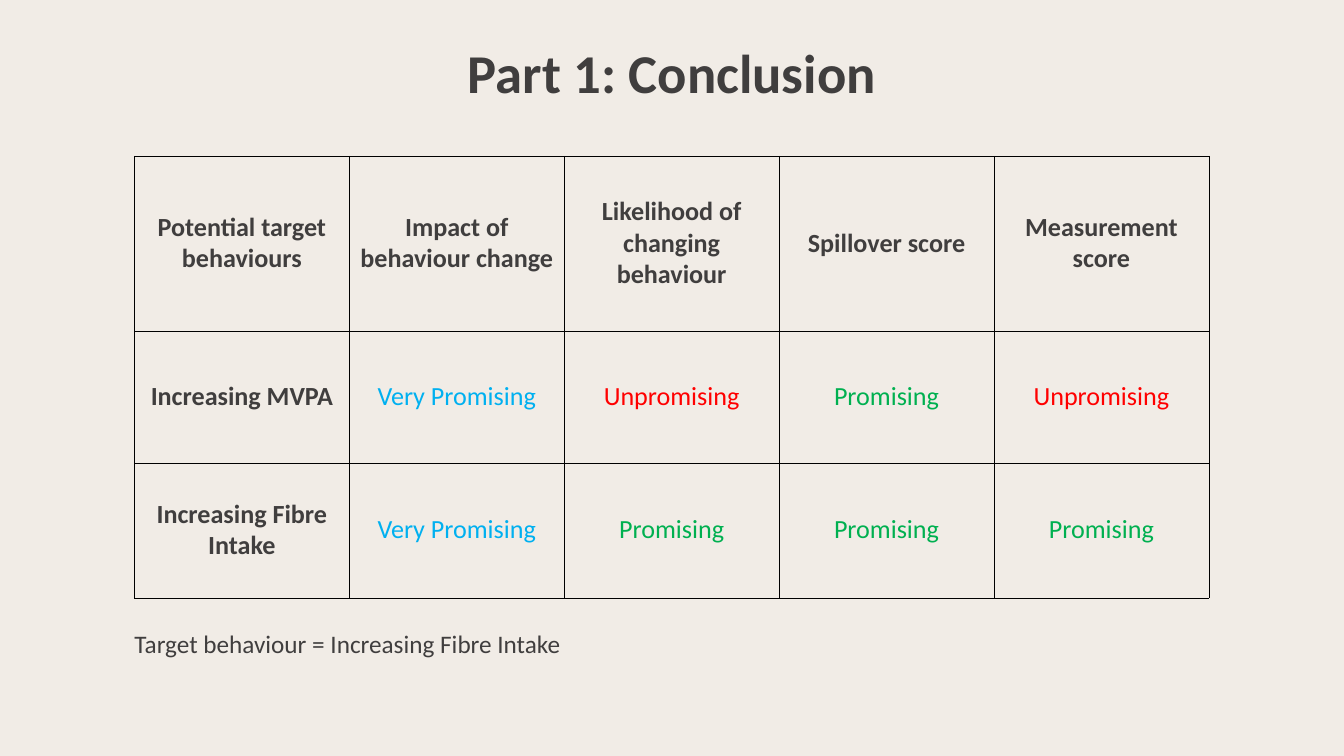
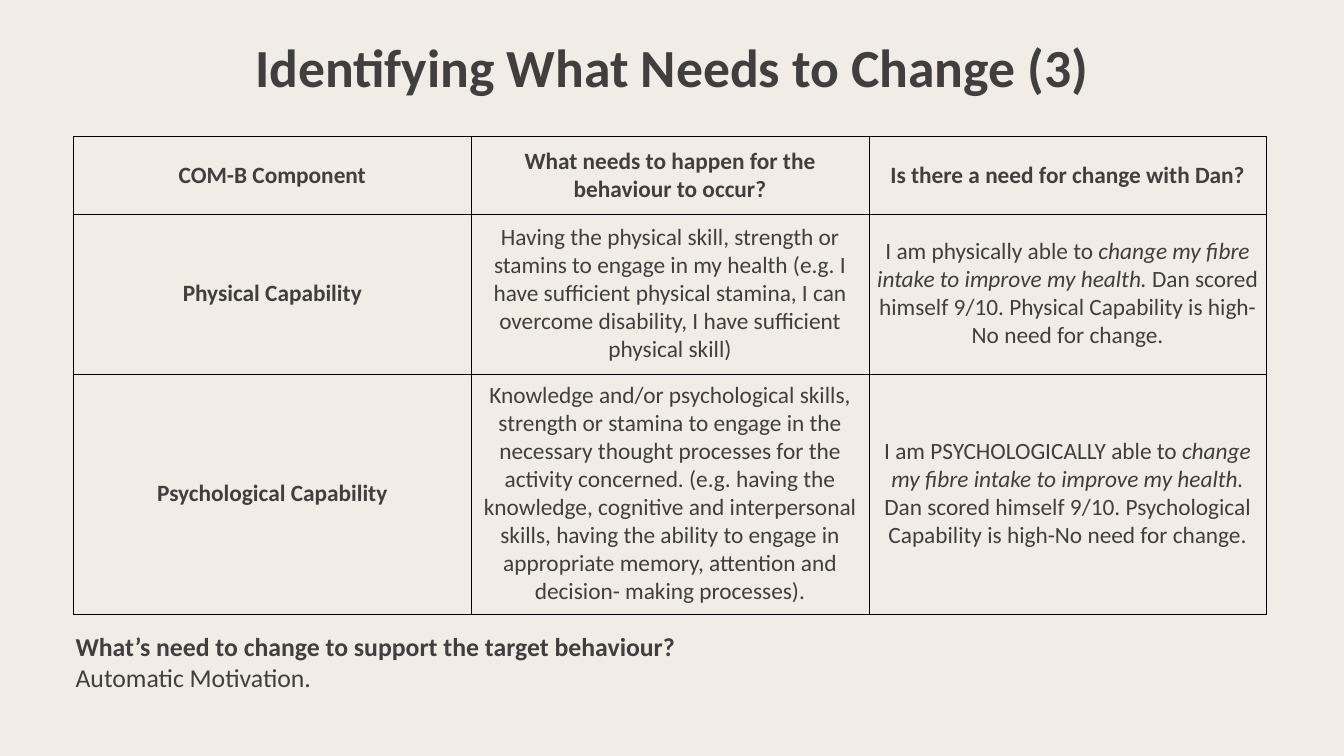
from lxml import etree
from pptx import Presentation
from pptx.dml.color import RGBColor
from pptx.enum.text import MSO_ANCHOR, PP_ALIGN
from pptx.oxml.ns import qn
from pptx.util import Pt

PX = 9525  # EMU in one px, 96 px to the inch
CENTER, LEFT = PP_ALIGN.CENTER, PP_ALIGN.LEFT
TOP, MIDDLE = MSO_ANCHOR.TOP, MSO_ANCHOR.MIDDLE

CREAM = RGBColor(0xF1, 0xEC, 0xE6)
INK = RGBColor(0x40, 0x3E, 0x3E)
BLUE = RGBColor(0x00, 0xB0, 0xF0)
RED = RGBColor(0xFF, 0x00, 0x00)
GREEN = RGBColor(0x00, 0xB0, 0x50)
RATING_COLORS = {"Very Promising": BLUE, "Promising": GREEN, "Unpromising": RED}

FONT = "Calibri"
LINE_HEIGHT = 1.2
CELL_MARGIN = 10
BORDER = Pt(0.37)


def write_text(frame, paragraphs, size, align):
    """Each paragraph is a list of (text, style) spans; style holds b and/or i."""
    frame.word_wrap = True
    for index, spans in enumerate(paragraphs):
        para = frame.add_paragraph() if index else frame.paragraphs[0]
        para.alignment = align
        para.line_spacing = Pt(size * LINE_HEIGHT)
        for text, style in spans:
            span = para.add_run()
            span.text = text
            span.font.name = FONT
            span.font.size = Pt(size)
            span.font.bold = "b" in style
            span.font.italic = "i" in style
            span.font.color.rgb = RATING_COLORS.get(text, INK)


def add_text_box(page, place, paragraphs, size, align, anchor=TOP):
    box = page.shapes.add_textbox(*(length * PX for length in place))
    frame = box.text_frame
    frame.margin_left = frame.margin_right = frame.margin_top = frame.margin_bottom = 0
    frame.vertical_anchor = anchor
    write_text(frame, paragraphs, size, align)


# A plain string in a table is one paragraph; the first row and column are bold
PAGES = [
    {
        "title": "Part 1: Conclusion",
        "title_place": (562, 25, 796, 155),
        "title_size": 58.6,
        "title_anchor": MIDDLE,
        "table_corner": (192, 223),
        "column_width": 307,
        "row_heights": [250, 188, 193],
        "cell_size": 28,
        "rows": [
            ["Potential target behaviours", "Impact of behaviour change",
             "Likelihood of changing behaviour", "Spillover score", "Measurement score"],
            ["Increasing MVPA", "Very Promising", "Unpromising", "Promising", "Unpromising"],
            ["Increasing Fibre Intake", "Very Promising", "Promising", "Promising", "Promising"],
        ],
        "note": [[("Target behaviour = Increasing Fibre Intake", "")]],
        "note_place": (192, 898, 748, 61),
        "note_size": 27,
    },
    {
        "title": "Identifying What Needs to Change (3)",
        "title_place": (355, 49, 1210, 115),
        "title_size": 57.5,
        "title_anchor": TOP,
        "table_corner": (105, 195),
        "column_width": 568,
        "row_heights": [111, 228, 344],
        "cell_size": 25,
        "rows": [
            ["COM-B Component", "What needs to happen for the behaviour to occur?",
             "Is there a need for change with Dan?"],
            ["Physical Capability",
             "Having the physical skill, strength or stamins to engage in my health "
             "(e.g. I have sufficient physical stamina, I can overcome disability, "
             "I have sufficient physical skill)",
             [[("I am physically able to ", ""),
               ("change my fibre intake to improve my health. ", "i"),
               ("Dan scored himself 9/10. Physical Capability is high-No need for change.", "")]]],
            ["Psychological Capability",
             "Knowledge and/or psychological skills, strength or stamina to engage in the "
             "necessary thought processes for the activity concerned. (e.g. having the "
             "knowledge, cognitive and interpersonal skills, having the ability to engage "
             "in appropriate memory, attention and decision- making processes).",
             [[("I am PSYCHOLOGICALLY able to ", ""),
               ("change my fibre intake to improve my health.", "i")],
              [("Dan scored himself 9/10. Psychological Capability is high-No need for change.", "")]]],
        ],
        "note": [[("What’s need to change to support the target behaviour?", "b")],
                 [("Automatic Motivation.", "")]],
        "note_place": (108, 901, 1248, 95),
        "note_size": 27.6,
    },
]

deck = Presentation()
deck.slide_width, deck.slide_height = 1920 * PX, 1080 * PX

for content in PAGES:
    page = deck.slides.add_slide(deck.slide_layouts[6])
    page.background.fill.solid()
    page.background.fill.fore_color.rgb = CREAM

    # Title
    add_text_box(page, content["title_place"], [[(content["title"], "b")]],
                 content["title_size"], CENTER, content["title_anchor"])

    # Table
    rows, heights = content["rows"], content["row_heights"]
    left, top = content["table_corner"]
    column_count = len(rows[0])
    table = page.shapes.add_table(
        len(rows), column_count, left * PX, top * PX,
        column_count * content["column_width"] * PX, sum(heights) * PX).table
    table.first_row = table.horz_banding = False
    for column in table.columns:
        column.width = content["column_width"] * PX
    for row_index, (row, height) in enumerate(zip(rows, heights)):
        table.rows[row_index].height = height * PX
        for column_index, entry in enumerate(row):
            cell = table.cell(row_index, column_index)
            cell.vertical_anchor = MIDDLE
            cell.margin_left = cell.margin_right = CELL_MARGIN * PX
            cell.margin_top = cell.margin_bottom = CELL_MARGIN * PX
            if isinstance(entry, str):
                is_heading = row_index == 0 or column_index == 0
                entry = [[(entry, "b" if is_heading else "")]]
            write_text(cell.text_frame, entry, content["cell_size"], CENTER)

            # Thin black borders, then the fill
            properties = cell._tc.get_or_add_tcPr()
            for side in ("a:lnL", "a:lnR", "a:lnT", "a:lnB"):
                line = etree.SubElement(properties, qn(side), w=str(BORDER))
                fill = etree.SubElement(line, qn("a:solidFill"))
                etree.SubElement(fill, qn("a:srgbClr"), val="000000")
            cell.fill.solid()
            cell.fill.fore_color.rgb = CREAM

    # Closing note
    add_text_box(page, content["note_place"], content["note"], content["note_size"], LEFT)

deck.save("out.pptx")
